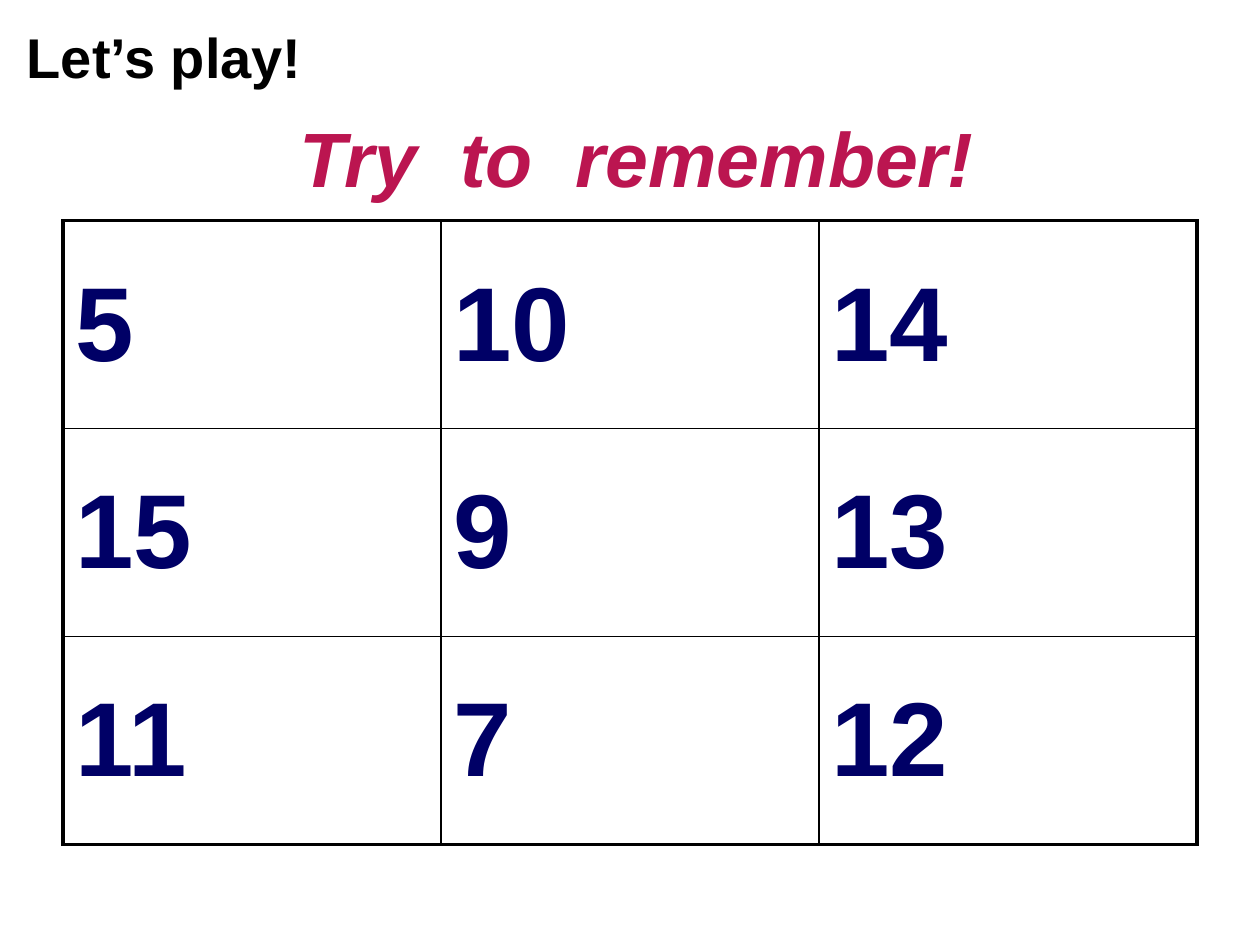
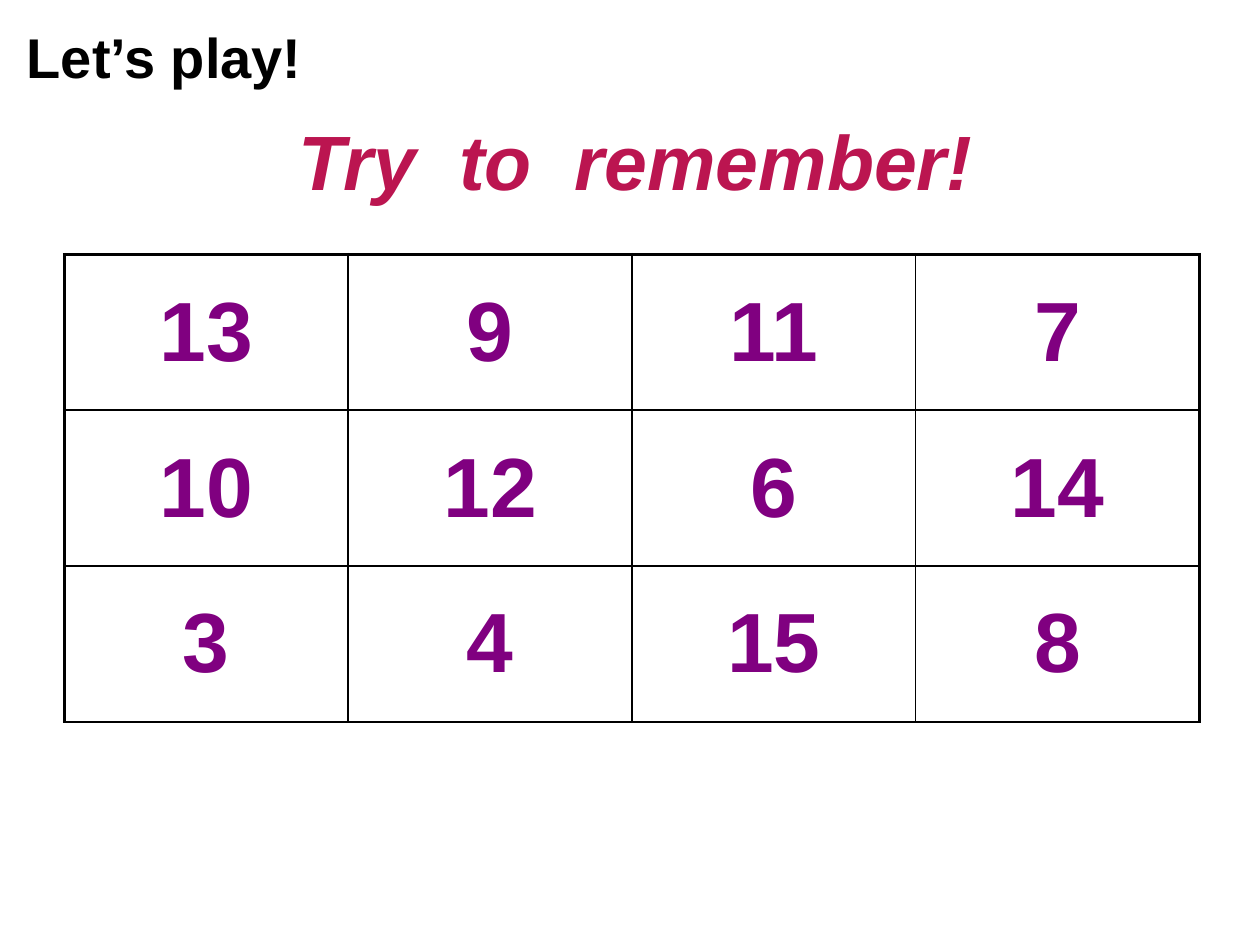
from dataclasses import dataclass

import lxml.etree
import pptx
import pptx.dml.color
import pptx.enum.text
import pptx.oxml.ns
import pptx.slide
import pptx.text.text
import pptx.util

Cm = pptx.util.Cm
Pt = pptx.util.Pt
Align = pptx.enum.text.PP_ALIGN
Anchor = pptx.enum.text.MSO_ANCHOR

# Shared look
FONT = "Arial"
BLACK, CRIMSON, NAVY, PURPLE = "000000", "BB1550", "000066", "800080"
THICK, THIN = 2.25, 1


@dataclass
class Box:
    left: float
    top: float
    width: float
    height: float


@dataclass
class NumberGrid:
    rows: list[list[int]]
    left: float
    top: float
    column_width: float
    row_height: float
    size: int
    color: str
    align: Align
    bottom_line: float


@dataclass
class GameSlide:
    title_box: Box
    grid: NumberGrid


GREETING_BOX = Box(0, 0.33, 6.63, 1.6)

GAMES = [
    GameSlide(
        Box(4.09, 1.96, 17.5, 2.41),
        NumberGrid([[5, 10, 14], [15, 9, 13], [11, 7, 12]],
                   1.27, 4.45, 7.62, 4.19, 60, NAVY, Align.LEFT, THICK),
    ),
    GameSlide(
        Box(5.11, 1.93, 15.42, 2.57),
        NumberGrid([[13, 9, 11, 7], [10, 12, 6, 14], [3, 4, 15, 8]],
                   1.3, 5.13, 5.72, 3.14, 48, PURPLE, Align.CENTER, THIN),
    ),
]


def rgb(color: str) -> pptx.dml.color.RGBColor:
    return pptx.dml.color.RGBColor.from_string(color)


def write(frame: pptx.text.text.TextFrame, text: str, *, size: int, color: str,
          italic: bool = False, align: Align = Align.CENTER, space_before: float = 0) -> None:
    paragraph = frame.paragraphs[0]
    paragraph.alignment = align
    paragraph.space_before = Pt(space_before)
    run = paragraph.add_run()
    run.text = text
    run.font.name = FONT
    run.font.size = Pt(size)
    run.font.bold = True
    run.font.italic = italic
    run.font.color.rgb = rgb(color)


def add_text_frame(slide: pptx.slide.Slide, box: Box, anchor: Anchor) -> pptx.text.text.TextFrame:
    frame = slide.shapes.add_textbox(
        Cm(box.left), Cm(box.top), Cm(box.width), Cm(box.height)).text_frame
    frame.word_wrap = True
    frame.vertical_anchor = anchor
    return frame


def set_borders(cell, widths: dict[str, float]) -> None:
    """Put the border lines, given in schema order, ahead of the cell fill."""
    qn = pptx.oxml.ns.qn
    properties = cell._tc.get_or_add_tcPr()
    for position, (side, width) in enumerate(widths.items()):
        line = lxml.etree.Element(qn(f"a:ln{side}"), w=str(int(Pt(width))))
        fill = lxml.etree.SubElement(line, qn("a:solidFill"))
        lxml.etree.SubElement(fill, qn("a:srgbClr"), val=BLACK)
        properties.insert(position, line)


def add_grid(slide: pptx.slide.Slide, grid: NumberGrid) -> None:
    row_count, column_count = len(grid.rows), len(grid.rows[0])
    table = slide.shapes.add_table(
        row_count, column_count, Cm(grid.left), Cm(grid.top),
        Cm(grid.column_width * column_count), Cm(grid.row_height * row_count)).table
    table.first_row = False
    table.horz_banding = False
    for column in table.columns:
        column.width = Cm(grid.column_width)
    for row in table.rows:
        row.height = Cm(grid.row_height)

    for r, numbers in enumerate(grid.rows):
        for c, number in enumerate(numbers):
            cell = table.cell(r, c)
            cell.vertical_anchor = Anchor.MIDDLE
            cell.fill.background()
            write(cell.text_frame, str(number), size=grid.size, color=grid.color,
                  align=grid.align, space_before=3)
            set_borders(cell, {
                "L": THICK if c == 0 else THIN,
                "R": THICK if c == column_count - 1 else THIN,
                "T": THICK if r == 0 else THIN,
                "B": grid.bottom_line if r == row_count - 1 else THIN,
            })


def add_game(deck, game: GameSlide) -> None:
    slide = deck.slides.add_slide(deck.slide_layouts[6])
    title = add_text_frame(slide, game.title_box, Anchor.MIDDLE)
    write(title, "Try  to  remember!", size=44, color=CRIMSON, italic=True)
    add_grid(slide, game.grid)
    greeting = add_text_frame(slide, GREETING_BOX, Anchor.TOP)
    write(greeting, "Let’s play!", size=32, color=BLACK)


def main() -> None:
    deck = pptx.Presentation()
    deck.slide_width, deck.slide_height = Cm(25.4), Cm(19.05)
    for game in GAMES:
        add_game(deck, game)
    deck.save("out.pptx")


if __name__ == "__main__":
    main()
